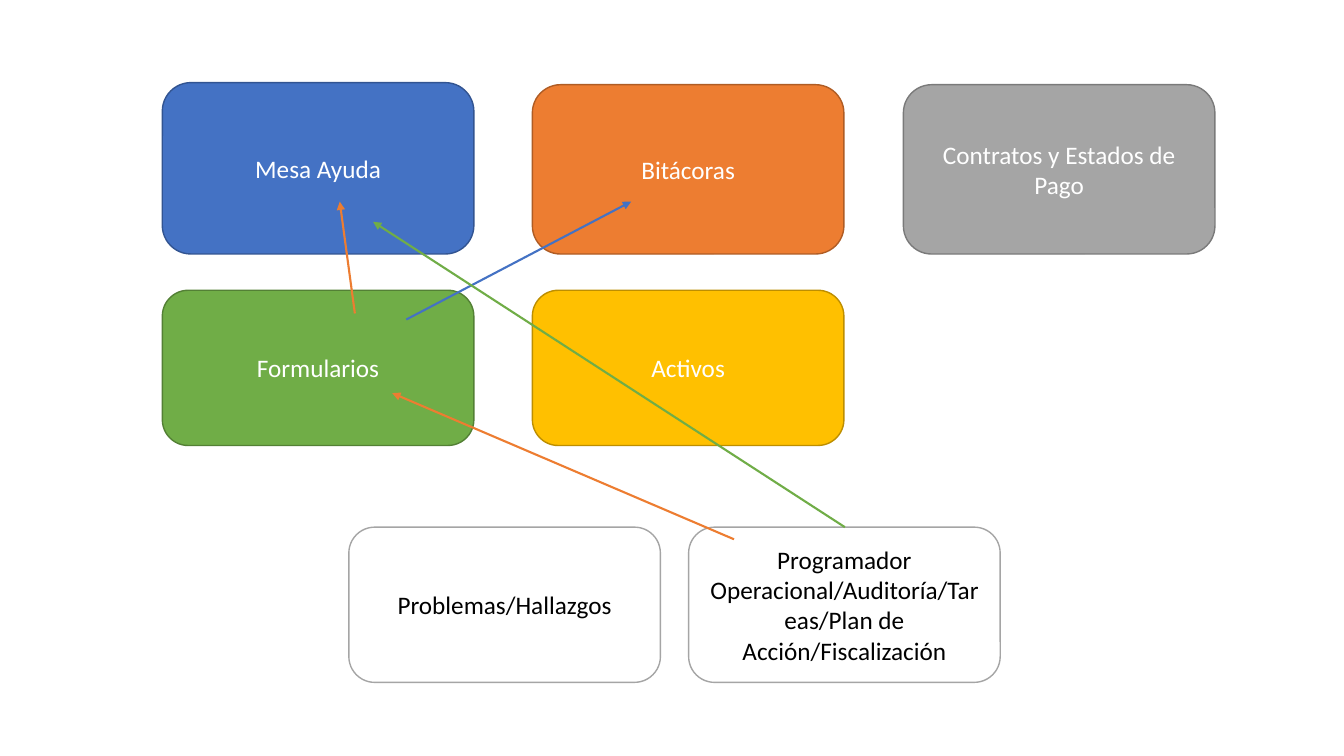
from lxml import etree
from pptx import Presentation
from pptx import util as u
from pptx.dml.color import RGBColor
from pptx.enum import shapes, text
from pptx.oxml.ns import qn

COLORS = {
    "blue": "4472C4", "blue_edge": "325491",
    "orange": "ED7D31", "orange_edge": "AF5C24",
    "green": "70AD47", "green_edge": "538035",
    "gold": "FFC000", "gold_edge": "BD8E00",
    "gray": "A5A5A5", "gray_edge": "7A7A7A",
    "white": "FFFFFF", "white_edge": "A5A5A5",
    "black": "000000",
}
MODULE_WIDTH = 3.09
COLUMNS = [1.61, 5.28, 8.96]
TOP_ROW, MIDDLE_ROW, BOTTOM_ROW = (0.84, 1.68), (2.88, 1.54), (5.23, 1.54)

MODULES = [
    ("Mesa Ayuda", COLUMNS[0], (0.82, 1.7), "blue"),
    ("Bitácoras", COLUMNS[1], TOP_ROW, "orange"),
    ("Formularios", COLUMNS[0], MIDDLE_ROW, "green"),
    ("Activos", COLUMNS[1], MIDDLE_ROW, "gold"),
    ("Contratos y Estados de Pago", COLUMNS[2], TOP_ROW, "gray"),
    ("Problemas/Hallazgos", 3.46, BOTTOM_ROW, "white"),
    ("Programador Operacional/Auditoría/Tareas/Plan de Acción/Fiscalización",
     6.83, BOTTOM_ROW, "white"),
]
FLOWS = [
    ((4.03, 3.17), (6.26, 2), "blue"),
    ((3.52, 3.11), (3.37, 2), "orange"),
    ((8.38, 5.23), (3.7, 2.2), "green"),
    ((7.28, 5.35), (3.89, 3.9), "orange"),
]


def rgb(name):
    return RGBColor.from_string(COLORS[name])


def add_module(slide, label, left, row, color):
    top, height = row
    module = slide.shapes.add_shape(
        shapes.MSO_SHAPE.ROUNDED_RECTANGLE,
        *(u.Inches(length) for length in (left, top, MODULE_WIDTH, height)))
    module.shadow.inherit = False
    module.fill.solid()
    module.fill.fore_color.rgb = rgb(color)
    module.line.color.rgb = rgb(color + "_edge")
    module.line.width = u.Pt(1)
    frame = module.text_frame
    frame.word_wrap = True
    frame.vertical_anchor = text.MSO_ANCHOR.MIDDLE
    frame.text = label
    caption = frame.paragraphs[0]
    caption.alignment = text.PP_ALIGN.CENTER
    font = caption.runs[0].font
    font.name = "Calibri"
    font.size = u.Pt(18)
    font.color.rgb = rgb("black" if color == "white" else "white")


def add_flow(slide, start, end, color):
    flow = slide.shapes.add_connector(
        shapes.MSO_CONNECTOR.STRAIGHT,
        *(u.Inches(length) for length in start + end))
    flow.line.color.rgb = rgb(color)
    flow.line.width = u.Pt(1.5)
    arrowhead = etree.SubElement(flow.line._get_or_add_ln(), qn("a:tailEnd"))
    arrowhead.set("type", "triangle")
    etree.SubElement(flow._element.spPr, qn("a:effectLst"))


def main():
    deck = Presentation()
    deck.slide_width = u.Inches(13.33)
    deck.slide_height = u.Inches(7.5)
    slide = deck.slides.add_slide(deck.slide_layouts[6])
    for module in MODULES:
        add_module(slide, *module)
    for flow in FLOWS:
        add_flow(slide, *flow)
    deck.save("out.pptx")


main()
